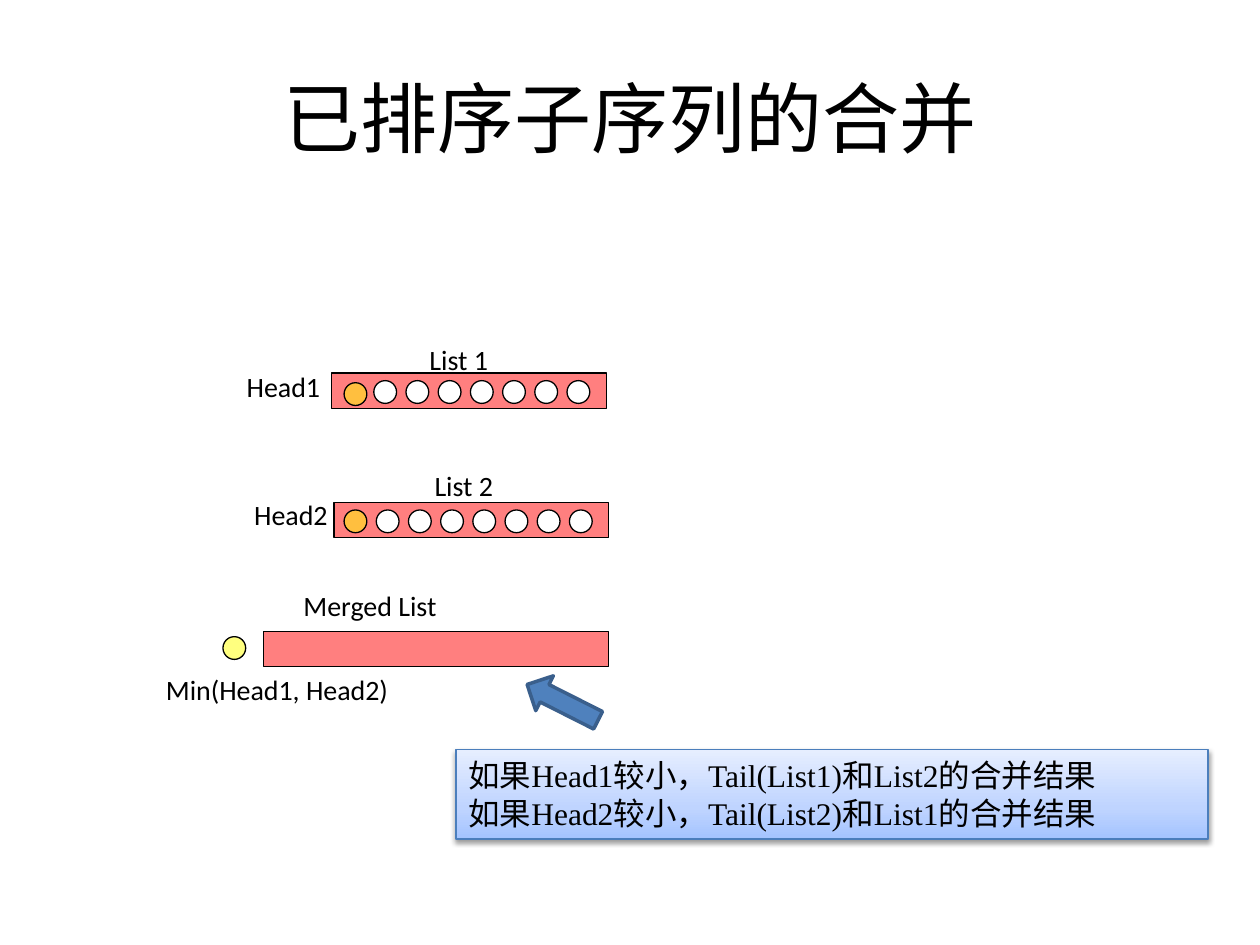
from lxml import etree
from pptx import Presentation
from pptx.dml.color import RGBColor
from pptx.enum import shapes, text
from pptx.oxml import ns, parse_xml
from pptx.util import Pt

COLOURS = {
    "ink": "000000", "list": "FF0000", "head": "FFFF00", "item": "FFFFFF",
    "arrow": "4F81BD", "arrow_edge": "3A5F8C", "callout_edge": "4B7EBC",
    "callout_low": "A4C4FF", "callout_mid": "BFD4FF", "callout_high": "E6EEFF",
}
SHAPE = shapes.MSO_SHAPE
BAR_HEIGHT = 20.2
DOT = 13
DOT_STEP = 18.4
ITEM_COUNT = 7
NAMESPACE = 'xmlns:a="http://schemas.openxmlformats.org/drawingml/2006/main"'


def colour(name):
    return RGBColor.from_string(COLOURS[name])


def set_font(paragraph, name, size):
    paragraph.font.name = name
    paragraph.font.size = Pt(size)
    paragraph.font.color.rgb = colour("ink")


def add_figure(slide, kind, box, fill, line="ink", width=0.75, opacity=None):
    """Add a preset shape with a solid fill; opacity is a percentage."""
    shape = slide.shapes.add_shape(kind, *map(Pt, box))
    shape.shadow.inherit = False
    shape.fill.solid()
    shape.fill.fore_color.rgb = colour(fill)
    shape.line.color.rgb = colour(line)
    shape.line.width = Pt(width)
    if opacity is not None:
        fill_colour = shape._element.spPr.find(ns.qn("a:solidFill"))[0]
        etree.SubElement(fill_colour, ns.qn("a:alpha"), val=str(opacity * 1000))
    return shape


def add_bar(slide, left, top, width):
    add_figure(slide, SHAPE.RECTANGLE, (left, top, width, BAR_HEIGHT), "list", opacity=50)


def add_head(slide, left, top):
    add_figure(slide, SHAPE.OVAL, (left, top, DOT, DOT), "head", opacity=50)


def add_items(slide, left, top):
    for index in range(ITEM_COUNT):
        add_figure(slide, SHAPE.OVAL, (left + index * DOT_STEP, top, DOT, DOT), "item")


def add_label(slide, words, left, top, width):
    box = slide.shapes.add_textbox(Pt(left), Pt(top), Pt(width), Pt(32.4))
    box.text_frame.word_wrap = True
    paragraph = box.text_frame.paragraphs[0]
    paragraph.text = words
    paragraph.alignment = text.PP_ALIGN.JUSTIFY
    set_font(paragraph, "Calibri", 16)


def set_title(slide, words):
    title = slide.shapes.title
    title.left, title.top, title.width, title.height = map(Pt, (36, 21.6, 648, 90))
    title.text_frame.vertical_anchor = text.MSO_ANCHOR.MIDDLE
    paragraph = title.text_frame.paragraphs[0]
    paragraph.text = words
    paragraph.alignment = text.PP_ALIGN.CENTER
    set_font(paragraph, "Noto Sans CJK JP", 44)
    east_asian = parse_xml(f'<a:ea {NAMESPACE} typeface="Noto Sans CJK JP"/>')
    paragraph.font._element.find(ns.qn("a:latin")).addnext(east_asian)


def add_callout(slide, lines, box):
    """Add the bordered note with an upward gradient and a soft shadow."""
    shape = add_figure(slide, SHAPE.RECTANGLE, box, "callout_mid", "callout_edge")
    properties = shape._element.spPr
    stops = "".join(
        f'<a:gs pos="{place * 1000}"><a:srgbClr val="{COLOURS[name]}"/></a:gs>'
        for place, name in ((0, "callout_low"), (35, "callout_mid"), (100, "callout_high")))
    gradient = parse_xml(
        f'<a:gradFill {NAMESPACE} rotWithShape="1"><a:gsLst>{stops}</a:gsLst>'
        '<a:lin ang="16200000" scaled="0"/></a:gradFill>')
    properties.replace(properties.find(ns.qn("a:solidFill")), gradient)
    properties.find(ns.qn("a:effectLst")).append(parse_xml(
        f'<a:outerShdw {NAMESPACE} blurRad="{Pt(3.1)}" dist="{Pt(1.6)}" dir="5400000"'
        f' rotWithShape="0"><a:srgbClr val="{COLOURS["ink"]}"><a:alpha val="38000"/>'
        '</a:srgbClr></a:outerShdw>'))
    frame = shape.text_frame
    frame.word_wrap = True
    frame.auto_size = text.MSO_AUTO_SIZE.SHAPE_TO_FIT_TEXT
    frame.vertical_anchor = text.MSO_ANCHOR.TOP
    frame.text = "\n".join(lines)
    for paragraph in frame.paragraphs:
        paragraph.alignment = text.PP_ALIGN.LEFT
        set_font(paragraph, "Times New Roman", 18)


def main():
    presentation = Presentation()
    presentation.slide_width, presentation.slide_height = Pt(720), Pt(540)
    slide = presentation.slides.add_slide(presentation.slide_layouts[5])
    set_title(slide, "已排序子序列的合并")

    add_bar(slide, 189.4, 213.1, 157)
    add_head(slide, 196.6, 218.7)
    add_items(slide, 213.6, 217.5)
    add_label(slide, "List 1", 238.3, 192.2, 61.2)
    add_label(slide, "Head1", 133.9, 207.4, 61.2)

    add_bar(slide, 190.8, 287, 157)
    add_head(slide, 196.6, 291.4)
    add_items(slide, 215, 291.4)
    add_label(slide, "List 2", 241.2, 264.2, 61.2)
    add_label(slide, "Head2", 138.2, 280.8, 61.2)

    add_bar(slide, 150.5, 360.7, 197.3)
    add_head(slide, 127.4, 363.8)
    add_label(slide, "Merged List", 166.3, 332.6, 142.6)
    add_label(slide, "Min(Head1, Head2)", 87.8, 380.9, 141.8)

    add_callout(slide, ["如果Head1较小，Tail(List1)和List2的合并结果",
                        "如果Head2较小，Tail(List2)和List1的合并结果"],
                (260.6, 428.4, 429.8, 51.1))
    arrow = add_figure(slide, SHAPE.RIGHT_ARROW, (298.8, 390.2, 45.4, 22.3),
                       "arrow", "arrow_edge", 2)
    arrow.rotation = 206.8
    presentation.save("out.pptx")


if __name__ == "__main__":
    main()
